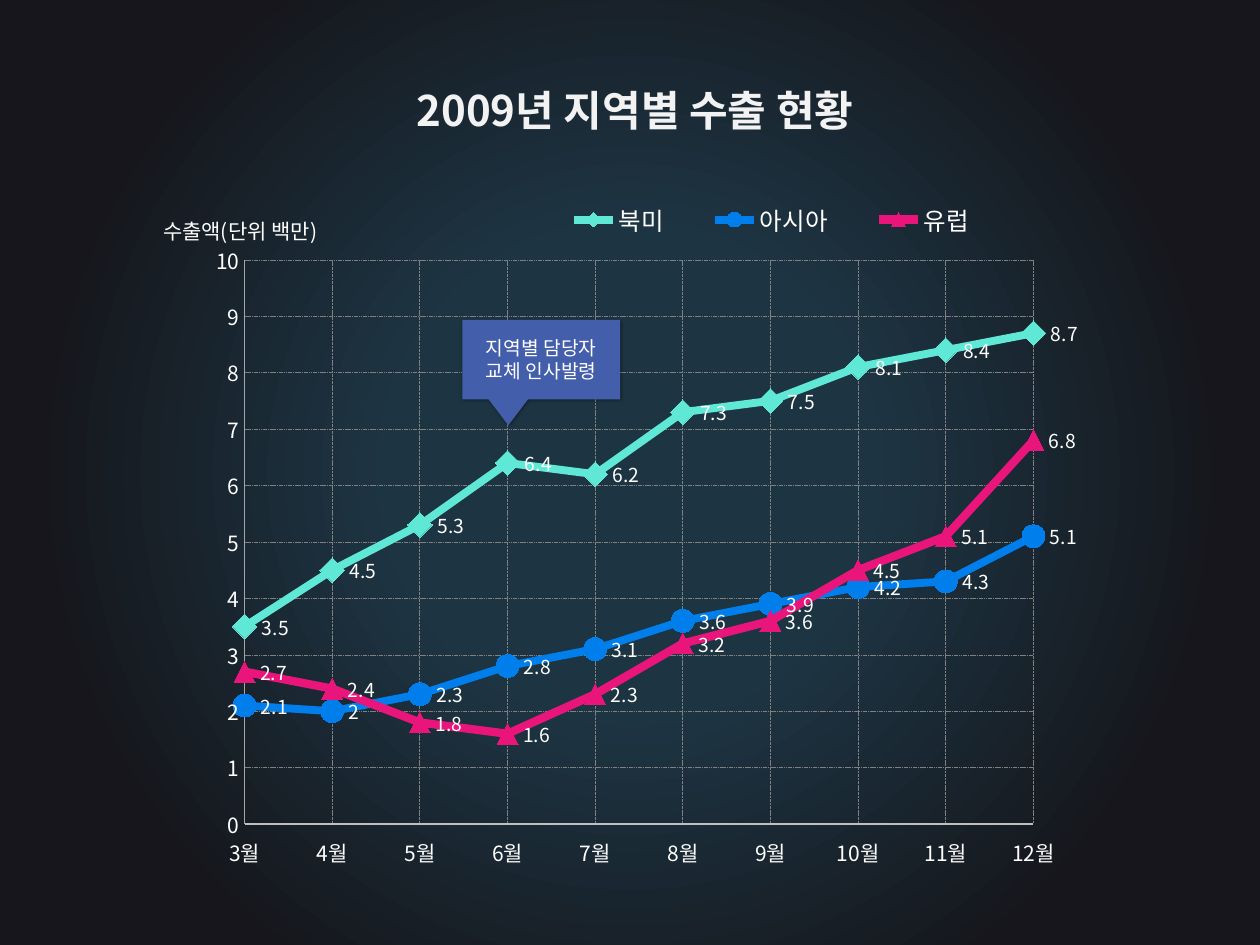
from dataclasses import dataclass

from lxml import etree
from pptx import Presentation
from pptx.chart.data import CategoryChartData
from pptx.dml.color import RGBColor
from pptx.enum.chart import (XL_CHART_TYPE, XL_LABEL_POSITION, XL_LEGEND_POSITION,
                             XL_MARKER_STYLE, XL_TICK_LABEL_POSITION, XL_TICK_MARK)
from pptx.enum.dml import MSO_LINE
from pptx.enum.shapes import MSO_SHAPE
from pptx.enum.text import MSO_ANCHOR, PP_ALIGN
from pptx.oxml import parse_xml
from pptx.oxml.ns import nsdecls, qn
from pptx.util import Cm, Pt

CENTER, MIDDLE = PP_ALIGN.CENTER, MSO_ANCHOR.MIDDLE
NO_TICK, LOW = XL_TICK_MARK.NONE, XL_TICK_LABEL_POSITION.LOW
DASH = MSO_LINE.SQUARE_DOT
DIAMOND, CIRCLE, TRIANGLE = (XL_MARKER_STYLE.DIAMOND, XL_MARKER_STYLE.CIRCLE,
                             XL_MARKER_STYLE.TRIANGLE)
FONT = "Noto Sans CJK KR"
COLORS = {
    "glow": "1D3543", "edge": "16161C", "title": "F2F2F2", "text": "FFFFFF",
    "grid": "808080", "cat_line": "BFBFBF", "val_line": "A6A6A6",
    "callout": "435EAA", "america": "5FE8D6", "asia": "007EEB", "europe": "EA157A",
}


@dataclass
class Region:
    name: str
    values: list[float]
    color: str
    marker: XL_MARKER_STYLE
    marker_size: int
    width: float


REGIONS = [
    Region("북미", [3.5, 4.5, 5.3, 6.4, 6.2, 7.3, 7.5, 8.1, 8.4, 8.7],
           "america", DIAMOND, 14, 4.5),
    Region("아시아", [2.1, 2, 2.3, 2.8, 3.1, 3.6, 3.9, 4.2, 4.3, 5.1],
           "asia", CIRCLE, 13, 4.5),
    Region("유럽", [2.7, 2.4, 1.8, 1.6, 2.3, 3.2, 3.6, 4.5, 5.1, 6.8],
           "europe", TRIANGLE, 12, 4.75),
]


def rgb(name: str) -> RGBColor:
    return RGBColor.from_string(COLORS[name])


def set_font(font, size: float, color: str = "text", bold: bool = False) -> None:
    font.name, font.size, font.bold = FONT, Pt(size), bold
    font.color.rgb = rgb(color)


def add_east_asian_fonts(root) -> None:
    """Give Korean text the same typeface as Latin text."""
    for latin in list(root.iter(qn("a:latin"))):
        ea = etree.Element(qn("a:ea"), typeface=latin.get("typeface"))
        latin.addnext(ea)


def set_layout(parent, index: int, inner: bool = False, **fractions: float) -> None:
    """Place a chart part by fractions of the chart area (x, y, w, h)."""
    for old in parent.findall(qn("c:layout")):
        parent.remove(old)
    target = '<c:layoutTarget val="inner"/>' if inner else ""
    modes = '<c:xMode val="edge"/><c:yMode val="edge"/>'
    sizes = "".join(f'<c:{k} val="{v}"/>' for k, v in fractions.items())
    parent.insert(index, parse_xml(
        f'<c:layout {nsdecls("c")}><c:manualLayout>{target}{modes}{sizes}'
        "</c:manualLayout></c:layout>"))


def style_axis(axis, line: str, grid_width: float) -> None:
    axis.major_tick_mark = axis.minor_tick_mark = NO_TICK
    axis.has_major_gridlines = True
    set_font(axis.tick_labels.font, 12)
    axis.format.line.color.rgb = rgb(line)
    axis.format.line.width = Pt(1)
    grid = axis.major_gridlines.format.line
    grid.color.rgb = rgb("grid")
    grid.width = Pt(grid_width)
    grid.dash_style = DASH


def style_series(series, region: Region) -> None:
    color = rgb(region.color)
    series.smooth = False
    series.format.line.color.rgb = color
    series.format.line.width = Pt(region.width)
    marker = series.marker
    marker.style, marker.size = region.marker, region.marker_size
    marker.format.fill.solid()
    marker.format.fill.fore_color.rgb = color
    marker.format.line.fill.background()
    labels = series.data_labels
    labels.show_value = True
    labels.position = XL_LABEL_POSITION.RIGHT
    set_font(labels.font, 11)


def add_background(s) -> None:
    fill = s.background.fill
    fill.gradient()
    for stop, pos, name in zip(fill.gradient_stops, (0.3, 0.76), ("glow", "edge")):
        stop.position = pos
        stop.color.rgb = rgb(name)
    grad = s._element.find(".//" + qn("a:gradFill"))
    grad.replace(grad.find(qn("a:lin")), parse_xml(
        f'<a:path {nsdecls("a")} path="circle">'
        '<a:fillToRect l="50000" t="50000" r="50000" b="50000"/></a:path>'))


def add_line_chart(s) -> None:
    data = CategoryChartData()
    data.categories = [f"{month}월" for month in range(3, 13)]
    for region in REGIONS:
        data.add_series(region.name, region.values)
    chart = s.shapes.add_chart(XL_CHART_TYPE.LINE_MARKERS, Cm(0.79), Cm(2.67),
                               Cm(24.21), Cm(15.29), data).chart
    chart.has_title = False
    chart.font.name, chart.font.size = "Cambria", Pt(14)
    plot = chart.plots[0]
    plot.vary_by_categories = False
    for series, region in zip(plot.series, REGIONS):
        style_series(series, region)

    # Axes; the first month sits on the value axis
    cat, val = chart.category_axis, chart.value_axis
    style_axis(cat, "cat_line", 0.5)
    cat.tick_label_position = LOW
    style_axis(val, "val_line", 0.25)
    val.minimum_scale, val.maximum_scale, val.major_unit = 0, 10, 1
    val._element.find(qn("c:crosses")).addnext(
        parse_xml(f'<c:crossBetween {nsdecls("c")} val="midCat"/>'))

    # Horizontal title above the value axis
    tf = val.axis_title.text_frame
    tf.text = "수출액(단위 백만)"
    set_font(tf.paragraphs[0].font, 12)
    body = tf._txBody.find(qn("a:bodyPr"))
    body.set("rot", "0")
    body.set("vert", "horz")
    set_layout(val.axis_title._element, 1, x=0.1, y=0.1)

    # Legend and plot area
    chart.has_legend = True
    legend = chart.legend
    legend.position = XL_LEGEND_POSITION.TOP
    legend.include_in_layout = False
    set_font(legend.font, 14)
    set_layout(legend._element, 1, x=0.41, y=0.08, w=0.4, h=0.07)
    plot_area = chart._chartSpace.find(".//" + qn("c:plotArea"))
    set_layout(plot_area, 0, inner=True, x=0.171, y=0.168, w=0.657, h=0.744)
    add_east_asian_fonts(chart._chartSpace)


def add_title(s) -> None:
    tf = s.shapes.add_textbox(Cm(5.36), Cm(1.57), Cm(14.88), Cm(1.27)).text_frame
    tf.word_wrap = True
    p = tf.paragraphs[0]
    p.text, p.alignment = "2009년 지역별 수출 현황", CENTER
    set_font(p.font, 24, "title", bold=True)


def add_callout(s) -> None:
    sp = s.shapes.add_shape(MSO_SHAPE.RECTANGULAR_CALLOUT,
                            Cm(9.32), Cm(6.45), Cm(3.18), Cm(1.6))
    sp.adjustments[0], sp.adjustments[1] = -0.208, 0.828
    sp.fill.solid()
    sp.fill.fore_color.rgb = rgb("callout")
    sp.line.fill.background()
    sp.shadow.inherit = False
    sp._element.spPr.find(qn("a:effectLst")).append(parse_xml(
        f'<a:outerShdw {nsdecls("a")} blurRad="{Pt(2)}" dist="{Pt(1)}" dir="2700000">'
        '<a:srgbClr val="000000"><a:alpha val="40000"/></a:srgbClr></a:outerShdw>'))
    tf = sp.text_frame
    tf.word_wrap, tf.vertical_anchor = True, MIDDLE
    p = tf.paragraphs[0]
    p.text, p.alignment = "지역별 담당자 교체 인사발령", CENTER
    set_font(p.font, 11)


def main() -> None:
    prs = Presentation()
    prs.slide_width, prs.slide_height = Cm(25.4), Cm(19.05)
    s = prs.slides.add_slide(prs.slide_layouts[6])
    add_background(s)
    add_line_chart(s)
    add_title(s)
    add_callout(s)
    add_east_asian_fonts(s._element)
    prs.save("out.pptx")


if __name__ == "__main__":
    main()
